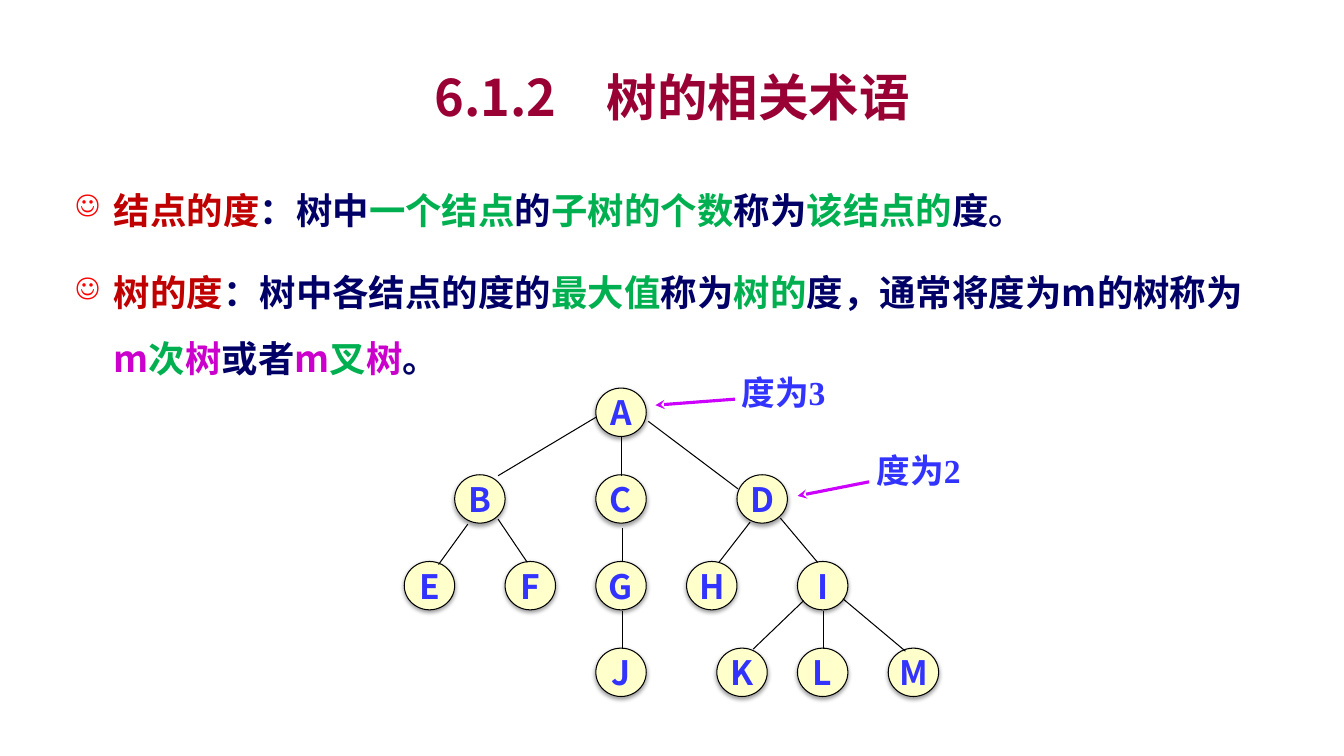
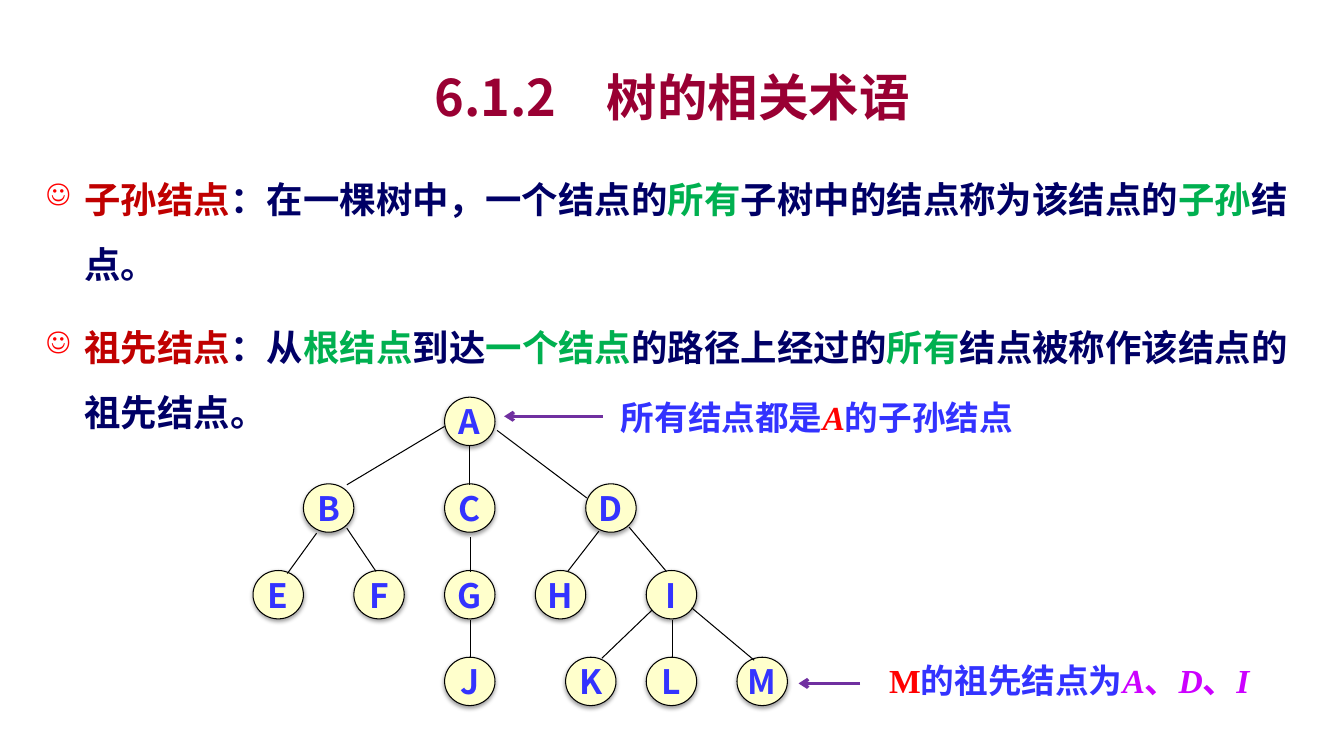
from lxml import etree
from pptx import Presentation
from pptx.dml.color import RGBColor
from pptx.enum.shapes import MSO_CONNECTOR as Connector, MSO_SHAPE as Shape
from pptx.enum.text import MSO_ANCHOR as Anchor, PP_ALIGN as Align
from pptx.oxml import parse_xml
from pptx.oxml.ns import nsdecls, qn
from pptx.util import Inches, Pt

WHITE = RGBColor(0xFF, 0xFF, 0xFF)
BLACK = RGBColor(0x00, 0x00, 0x00)
CRIMSON = RGBColor(0x99, 0x00, 0x33)
DARK_RED = RGBColor(0xC0, 0x00, 0x00)
RED = RGBColor(0xFF, 0x00, 0x00)
NAVY = RGBColor(0x00, 0x00, 0x66)
GREEN = RGBColor(0x00, 0xB0, 0x50)
MAGENTA = RGBColor(0xCC, 0x00, 0xCC)
VIOLET = RGBColor(0xCC, 0x00, 0xFF)
PURPLE = RGBColor(0x70, 0x30, 0xA0)
BLUE = RGBColor(0x33, 0x33, 0xFF)
CREAM = RGBColor(0xFF, 0xFF, 0xCC)

SANS = "Noto Sans CJK SC"
SERIF = "Times New Roman"
TITLE = "6.1.2　树的相关术语"

# Tree geometry in inches, measured from the left top corner of the root's frame
NODE_WIDTH, NODE_HEIGHT, LEVEL_STEP = 0.5, 0.48, 0.86
TREE_LEVELS = [
    {"A": 0},
    {"B": -1.4, "C": 0, "D": 1.4},
    {"E": -1.9, "F": -0.9, "G": 0, "H": 0.9, "I": 2},
    {"J": 0, "K": 1.2, "L": 2, "M": 2.9},
]
TREE_EDGES = [
    (0, 0.29, -0.97, 0.87), (0.25, 0.48, 0.25, 0.87), (0.52, 0.33, 1.41, 1),
    (-1.27, 1.35, -1.56, 1.75), (-0.97, 1.3, -0.68, 1.73),
    (0.26, 1.39, 0.26, 1.73),
    (1.53, 1.33, 1.22, 1.73), (1.83, 1.29, 2.2, 1.73),
    (0.26, 2.21, 0.26, 2.59),
    (2.06, 2.11, 1.56, 2.59), (2.26, 2.21, 2.26, 2.59),
    (2.45, 2.09, 3.07, 2.61),
]

DEGREE_TERMS = [
    [("结点的度", DARK_RED), ("：树中", NAVY), ("一个结点", GREEN),
     ("的", NAVY), ("子树的个数", GREEN), ("称为", NAVY),
     ("该结点的", GREEN), ("度。", NAVY)],
    [("树的度", DARK_RED), ("：树中各结点的度的", NAVY), ("最大值", GREEN),
     ("称为", NAVY), ("树的", GREEN), ("度，通常将度为m的树称为", NAVY),
     ("m", MAGENTA), ("次", GREEN), ("树", MAGENTA), ("或者", NAVY),
     ("m", MAGENTA), ("叉", GREEN), ("树", MAGENTA), ("。", NAVY)],
]
FAMILY_TERMS = [
    [("子孙结点", DARK_RED), ("：在一棵树中，一个结点的", NAVY),
     ("所有", GREEN), ("子树中的结点称为该结点的", NAVY),
     ("子孙", GREEN), ("结点。", NAVY)],
    [("祖先结点", DARK_RED), ("：从", NAVY), ("根结点", GREEN),
     ("到达", NAVY), ("一个结点", GREEN), ("的路径上经过的", NAVY),
     ("所有", GREEN), ("结点被称作该结点的祖先结点。", NAVY)],
]


def set_all(target, values):
    for name, value in values.items():
        setattr(target, name, value)


class Lecture:
    """Holds the deck, its style and the current page."""

    def __init__(self):
        self.deck = Presentation()
        set_all(self.deck, {"slide_width": Inches(13.33),
                            "slide_height": Inches(7.5)})
        self.page = None

    def new_page(self, title):
        self.page = self.deck.slides.add_slide(self.deck.slide_layouts[6])
        fill = self.page.background.fill
        fill.solid()
        fill.fore_color.rgb = WHITE
        frame = self.text_frame(1, 0.58, 11.33, 0.75)
        frame.vertical_anchor = Anchor.MIDDLE
        para = frame.paragraphs[0]
        para.alignment = Align.CENTER
        self.spans(para, [(title, CRIMSON)], 36)

    def text_frame(self, left, top, width, height):
        box = self.page.shapes.add_textbox(
            Inches(left), Inches(top), Inches(width), Inches(height))
        box.text_frame.word_wrap = True
        return box.text_frame

    def spans(self, para, parts, size, font=SANS):
        """Add bold runs, each given as text, colour and optional italic."""
        for text, colour, *italic in parts:
            span = para.add_run()
            span.text = text
            set_all(span.font, {"size": Pt(size), "bold": True,
                                "italic": bool(italic and italic[0]),
                                "name": font})
            span.font.color.rgb = colour
            east_asian = etree.SubElement(span._r.get_or_add_rPr(), qn("a:ea"))
            east_asian.set("typeface", SANS)

    def bullets(self, left, top, width, height, items):
        frame = self.text_frame(left, top, width, height)
        for index, parts in enumerate(items):
            para = frame.add_paragraph() if index else frame.paragraphs[0]
            set_all(para, {"line_spacing": 1.5, "space_after": Pt(6),
                           "space_before": Pt(6 if index else 0)})
            props = para._p.get_or_add_pPr()
            props.set("marL", str(Inches(0.38)))
            props.set("indent", str(-Inches(0.38)))
            colour = etree.SubElement(props, qn("a:buClr"))
            etree.SubElement(colour, qn("a:srgbClr")).set("val", str(RED))
            etree.SubElement(props, qn("a:buSzPct")).set("val", "80000")
            etree.SubElement(props, qn("a:buChar")).set("char", "☺")
            self.spans(para, parts, 26)

    def callout(self, left, top, width, parts, align=Align.LEFT):
        para = self.text_frame(left, top, width, 0.5).paragraphs[0]
        para.alignment = align
        self.spans(para, parts, 24, SERIF)

    def line(self, ends, colour=BLACK, width=0.75, head=None, shapes=None):
        """Draw a line from (x1, y1) to (x2, y2), with an optional arrowhead."""
        connector = (shapes or self.page.shapes).add_connector(
            Connector.STRAIGHT, *(Inches(end) for end in ends))
        connector.line.color.rgb = colour
        connector.line.width = Pt(width)
        if head:
            outline = connector.line._get_or_add_ln()
            etree.SubElement(outline, qn("a:tailEnd")).set("type", head)
        etree.SubElement(connector._element.spPr, qn("a:effectLst"))

    def node(self, shapes, left, top, letter):
        circle = shapes.add_shape(
            Shape.OVAL, Inches(left), Inches(top),
            Inches(NODE_WIDTH), Inches(NODE_HEIGHT))
        circle.fill.solid()
        circle.fill.fore_color.rgb = CREAM
        circle.line.color.rgb = BLACK
        circle.line.width = Pt(0.75)
        circle._element.spPr.append(parse_xml(
            f'<a:effectLst {nsdecls("a")}><a:outerShdw blurRad="{Pt(3.1)}" '
            f'dist="{Pt(1.6)}" dir="5400000" rotWithShape="0">'
            f'<a:srgbClr val="{BLACK}"><a:alpha val="38000"/></a:srgbClr>'
            '</a:outerShdw></a:effectLst>'))
        frame = circle.text_frame
        set_all(frame, {"word_wrap": False, "vertical_anchor": Anchor.MIDDLE})
        para = frame.paragraphs[0]
        para.alignment = Align.CENTER
        self.spans(para, [(letter, BLUE)], 24)

    def tree(self, left, top):
        shapes = self.page.shapes.add_group_shape().shapes
        for level, row in enumerate(TREE_LEVELS):
            for letter, offset in row.items():
                self.node(shapes, left + offset, top + level * LEVEL_STEP, letter)
        for x1, y1, x2, y2 in TREE_EDGES:
            self.line((left + x1, top + y1, left + x2, top + y2), shapes=shapes)


def degree_page(lecture):
    lecture.new_page(TITLE)
    lecture.bullets(0.65, 1.6, 12.01, 2.15, DEGREE_TERMS)
    for left, top, text, arrow in [
            (7.18, 3.64, "度为3", (7.29, 3.96, 6.5, 4.02)),
            (8.52, 4.41, "度为2", (8.62, 4.78, 7.91, 4.92))]:
        lecture.line(arrow, VIOLET, 2.25, "stealth")
        lecture.callout(left, top, 1.18, [(text, BLUE)], Align.CENTER)
    lecture.tree(5.91, 3.85)


def family_page(lecture):
    lecture.new_page(TITLE)
    lecture.bullets(0.36, 1.49, 12.75, 2.77, FAMILY_TERMS)
    lecture.callout(6.06, 3.89, 4.61, [
        ("所有结点都是", BLUE), ("A", RED, True), ("的子孙结点", BLUE)])
    lecture.callout(8.72, 6.5, 4.01, [
        ("M", RED), ("的祖先结点为", BLUE), ("A", VIOLET, True),
        ("、", VIOLET), ("D", VIOLET, True), ("、", VIOLET),
        ("I", VIOLET, True)])
    for arrow in [(5.98, 4.13, 5, 4.13), (8.53, 6.78, 7.92, 6.78)]:
        lecture.line(arrow, PURPLE, 2.25, "arrow")
    lecture.tree(4.41, 3.94)


def main():
    lecture = Lecture()
    degree_page(lecture)
    family_page(lecture)
    lecture.deck.save("out.pptx")


if __name__ == "__main__":
    main()
